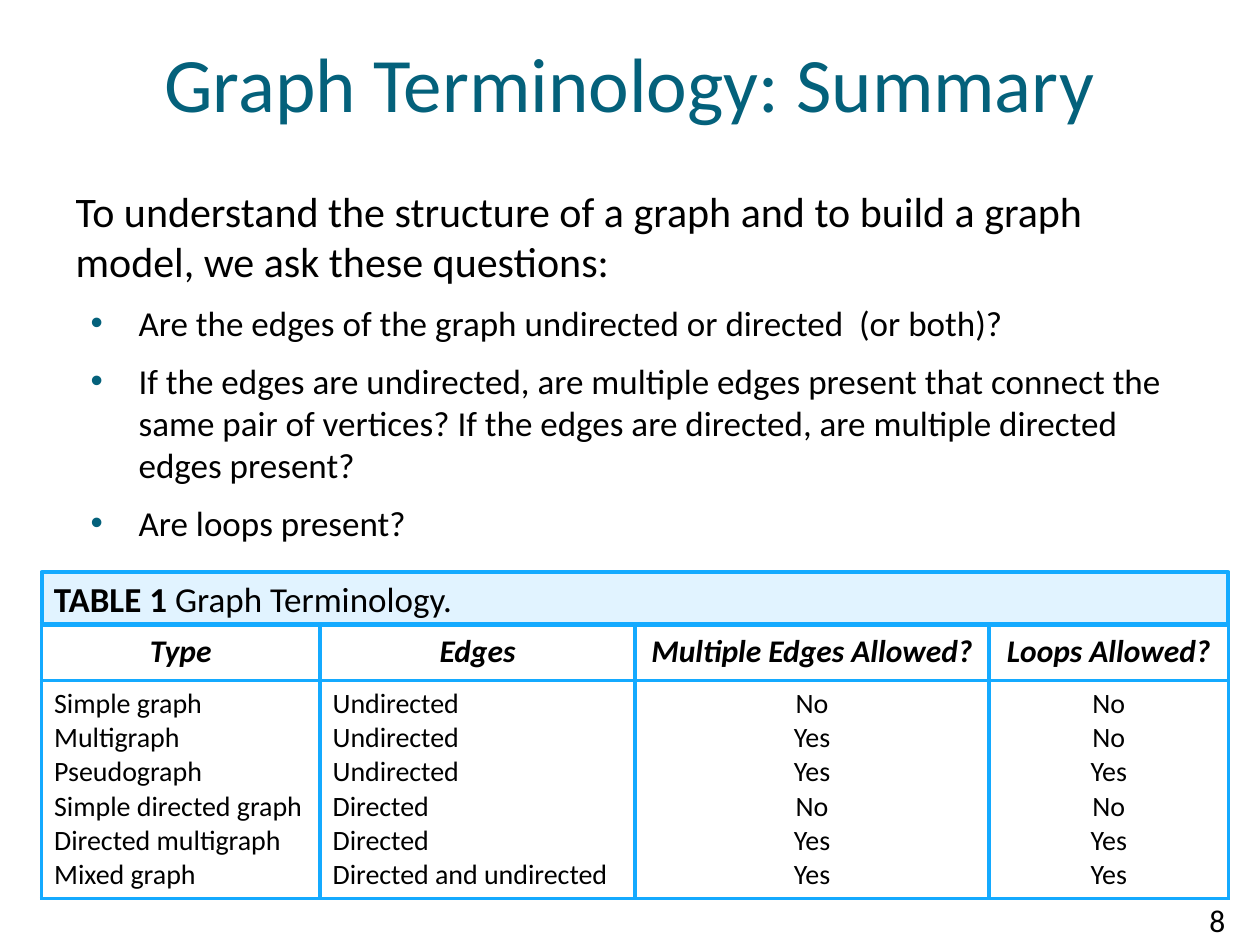
"""Build the graph terminology summary slide."""
import pptx
import pptx.util
import pptx.dml.color
import pptx.enum.shapes
import pptx.enum.text
import pptx.oxml
import lxml.etree

Inches = pptx.util.Inches
Pt = pptx.util.Pt
ALIGN = pptx.enum.text.PP_ALIGN
ANCHOR = pptx.enum.text.MSO_ANCHOR
NS = 'xmlns:a="http://schemas.openxmlformats.org/drawingml/2006/main"'
TEAL, BLUE, PALE, BLACK = "04617B", "14AAFF", "E1F3FF", "000000"


def tint(code):
    return pptx.dml.color.RGBColor.from_string(code)


def add_run(para, text, size, code=BLACK, bold=False, slant=False):
    run = para.add_run()
    run.text = text
    font = run.font
    font.name, font.size = "Calibri", Pt(size)
    font.bold, font.italic = bold, slant
    font.color.rgb = tint(code)


deck = pptx.Presentation()
deck.slide_width, deck.slide_height = Inches(10), Inches(7.5)
slide = deck.slides.add_slide(deck.slide_layouts[1])
shapes = slide.shapes

title = shapes.title
title.left, title.top = Inches(0), Inches(0)
title.width, title.height = Inches(10), Inches(1.3)
title.text_frame.vertical_anchor = ANCHOR.MIDDLE
title.text_frame.auto_size = pptx.enum.text.MSO_AUTO_SIZE.NONE
para = title.text_frame.paragraphs[0]
para.alignment = ALIGN.CENTER
add_run(para, "Graph Terminology: Summary", 44, TEAL)

body = slide.placeholders[1]
body.left, body.top = Inches(0.5), Inches(1.42)
body.width, body.height = Inches(9), Inches(2.92)
frame = body.text_frame
frame.auto_size = pptx.enum.text.MSO_AUTO_SIZE.NONE
lines = [
    "To understand the structure of a graph and to build a graph model, we ask these questions:",
    "Are the edges of the graph undirected or directed  (or both)?",
    "If the edges are undirected, are multiple edges present that connect the same pair of "
    "vertices? If the edges are directed, are multiple directed edges present?",
    "Are loops present?",
]
for i, line in enumerate(lines):
    para = frame.add_paragraph() if i else frame.paragraphs[0]
    props = para._p.get_or_add_pPr()
    if i:
        para.level = 1
        props.set("marL", str(Inches(0.5)))
        props.set("indent", str(Inches(-0.38)))
        marks = [
            f'<a:buClr {NS}><a:srgbClr val="{TEAL}"/></a:buClr>',
            f'<a:buFont {NS} typeface="Arial"/>',
            f'<a:buChar {NS} char="•"/>',
        ]
    else:
        props.set("marL", "0")
        props.set("indent", "0")
        marks = [f"<a:buNone {NS}/>"]
    for mark in marks:
        props.append(pptx.oxml.parse_xml(mark))
    para.space_before = Pt(3 if i else 0)
    para.space_after = Pt(6)
    add_run(para, line, 20 if i else 24)

band = shapes.add_shape(pptx.enum.shapes.MSO_SHAPE.RECTANGLE,
                        Inches(0.33), Inches(4.54), Inches(9.42), Inches(0.42))
band.shadow.inherit = False
band.fill.solid()
band.fill.fore_color.rgb = tint(PALE)
band.line.color.rgb = tint(BLUE)
band.line.width = Pt(2.25)
band.text_frame.vertical_anchor = ANCHOR.MIDDLE
para = band.text_frame.paragraphs[0]
para.alignment = ALIGN.LEFT
add_run(para, "TABLE 1 ", 20, bold=True)
add_run(para, "Graph Terminology.", 20)

heads = ["Type", "Edges", "Multiple Edges Allowed?", "Loops Allowed?"]
kinds = [
    ("Simple graph", "Undirected", "No", "No"),
    ("Multigraph", "Undirected", "Yes", "No"),
    ("Pseudograph", "Undirected", "Yes", "Yes"),
    ("Simple directed graph", "Directed", "No", "No"),
    ("Directed multigraph", "Directed", "Yes", "Yes"),
    ("Mixed graph", "Directed and undirected", "Yes", "Yes"),
]
table = shapes.add_table(2, 4, Inches(0.33), Inches(4.95), Inches(9.42), Inches(2.18)).table
table.first_row = table.horz_banding = False
for row, tall in zip(table.rows, (0.45, 1.73)):
    row.height = Inches(tall)
for c, wide in enumerate((2.21, 2.5, 2.81, 1.9)):
    table.columns[c].width = Inches(wide)
    for r, texts in enumerate(([heads[c]], [kind[c] for kind in kinds])):
        cell = table.cell(r, c)
        cell.fill.background()
        cell.vertical_anchor = ANCHOR.TOP if r else ANCHOR.MIDDLE
        for i, text in enumerate(texts):
            para = cell.text_frame.add_paragraph() if i else cell.text_frame.paragraphs[0]
            para.alignment = ALIGN.LEFT if r and c < 2 else ALIGN.CENTER
            add_run(para, text, 16 if r else 18, bold=not r, slant=not r)
        props = cell._tc.get_or_add_tcPr()
        for i, side in enumerate("LRTB"):
            props.insert(i, pptx.oxml.parse_xml(
                f'<a:ln{side} {NS} w="{Pt(2.25)}"><a:solidFill>'
                f'<a:srgbClr val="{BLUE}"/></a:solidFill></a:ln{side}>'))

page = shapes.add_textbox(Inches(9.5), Inches(7.1), Inches(0.5), Inches(0.4))
page.text_frame.word_wrap = True
add_run(page.text_frame.paragraphs[0], "8", 18)

deck.save("out.pptx")
